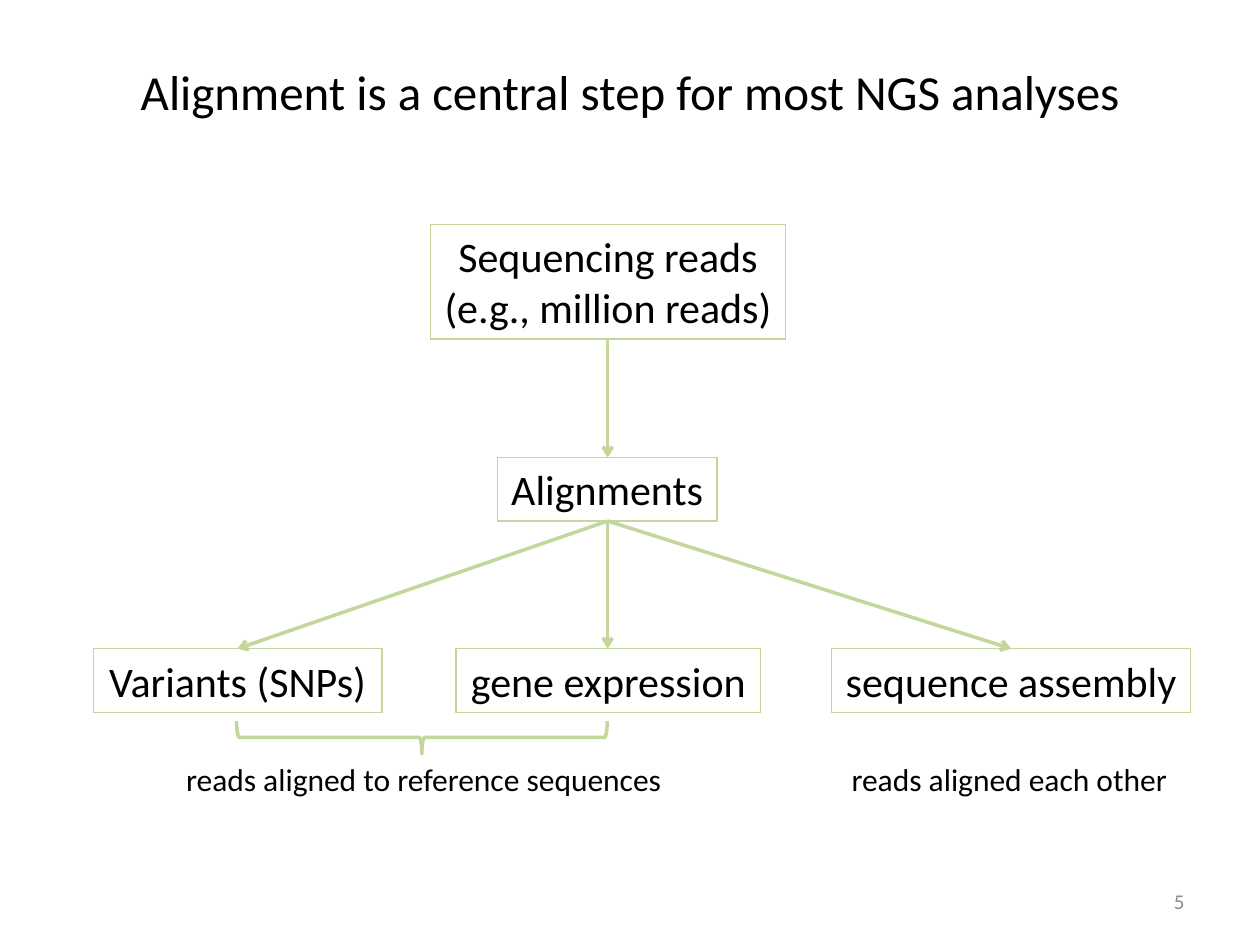
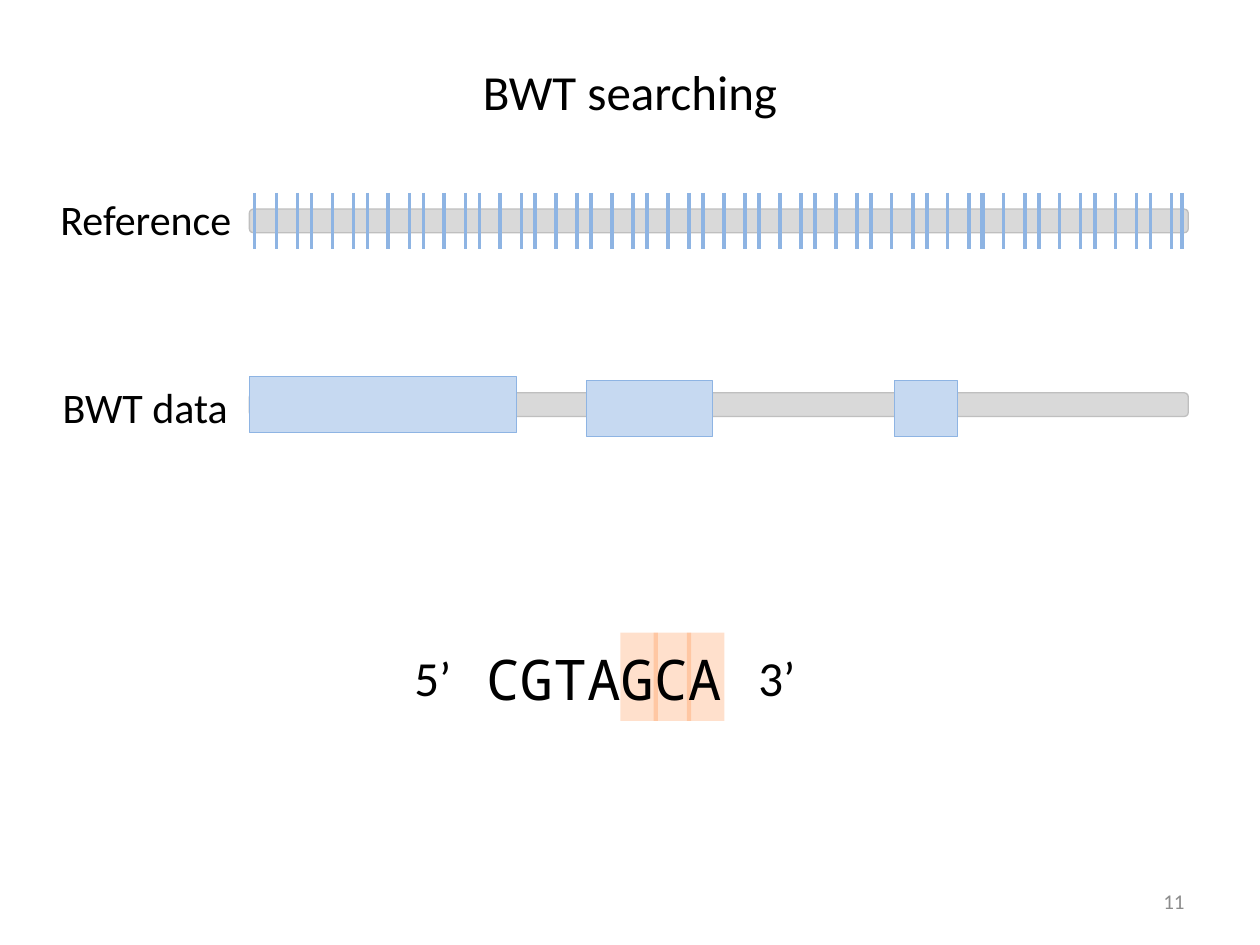
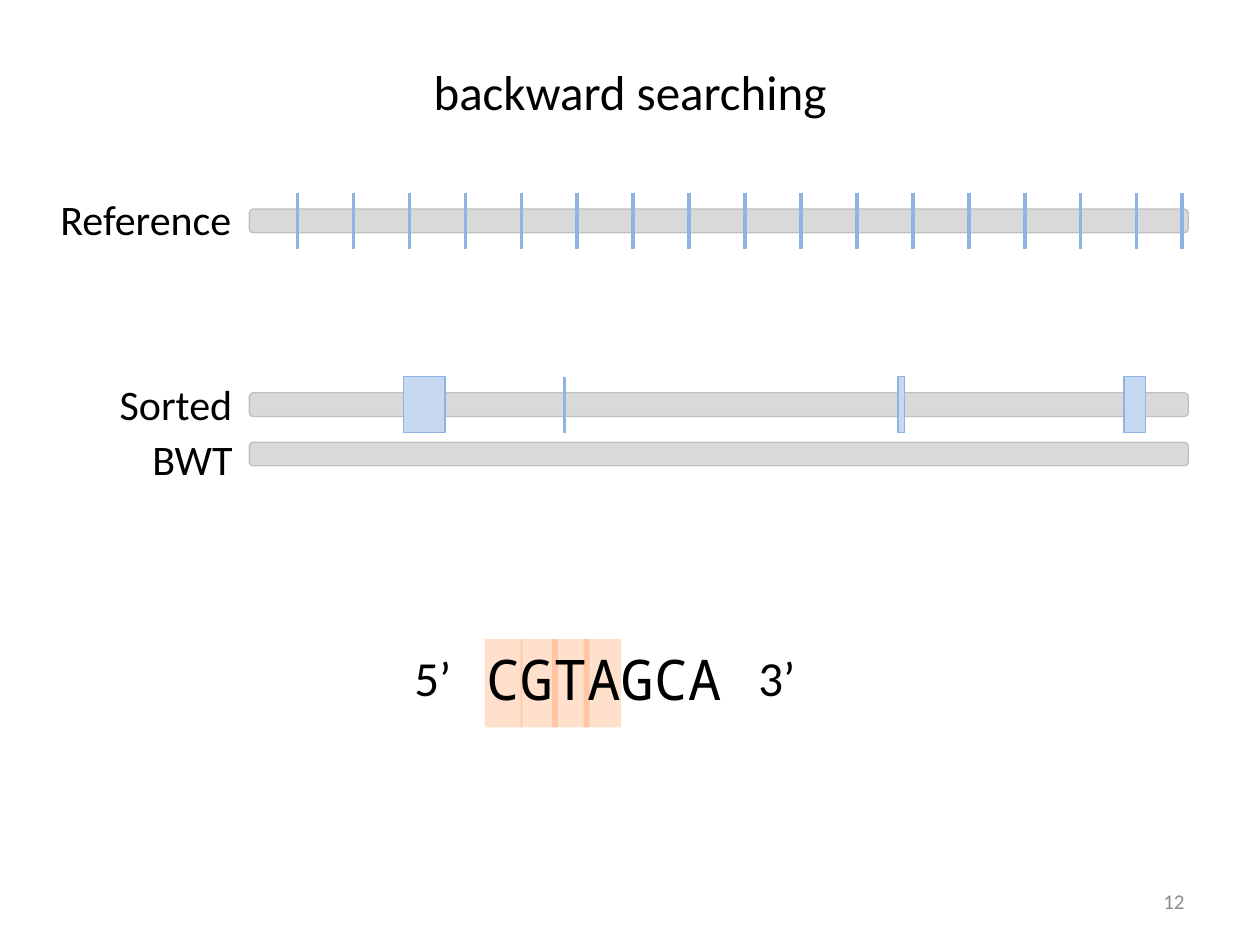
"""Build three slides on read alignment and backward searching with the BWT."""
from lxml import etree
from pptx import Presentation
from pptx.dml.color import RGBColor
from pptx.enum.shapes import MSO_CONNECTOR, MSO_SHAPE
from pptx.enum.text import MSO_ANCHOR, PP_ALIGN
from pptx.oxml.ns import qn
from pptx.util import Pt

STRAIGHT = MSO_CONNECTOR.STRAIGHT
RECTANGLE, ROUNDED, BRACE = MSO_SHAPE.RECTANGLE, MSO_SHAPE.ROUNDED_RECTANGLE, MSO_SHAPE.LEFT_BRACE
LEFT, CENTER, RIGHT = PP_ALIGN.LEFT, PP_ALIGN.CENTER, PP_ALIGN.RIGHT
TOP, MIDDLE = MSO_ANCHOR.TOP, MSO_ANCHOR.MIDDLE

BLACK = RGBColor(0x00, 0x00, 0x00)
NUMBER_GRAY = RGBColor(0x8C, 0x8C, 0x8C)
GREEN = RGBColor(0xC3, 0xD6, 0x9B)
BAR_FILL = RGBColor(0xD9, 0xD9, 0xD9)
BAR_LINE = RGBColor(0xBF, 0xBF, 0xBF)
BLOCK_FILL = RGBColor(0xC6, 0xD9, 0xF1)
BLUE = RGBColor(0x8E, 0xB4, 0xE3)
ORANGE = RGBColor(0xFF, 0x66, 0x00)
BODY_FONT = "Calibri"
CODE_FONT = "Noto Sans Mono"


def add_text(slide, lines, place, size, align=LEFT, anchor=TOP, wrap=False,
             color=BLACK, font=BODY_FONT, outline=None):
    """Add a text box with one paragraph per line and an optional outline."""
    box = slide.shapes.add_textbox(*map(Pt, place))
    if outline:
        box.line.color.rgb = outline
        box.line.width = Pt(0.75)
    frame = box.text_frame
    frame.word_wrap = wrap
    frame.vertical_anchor = anchor
    for index, line in enumerate(lines):
        paragraph = frame.add_paragraph() if index else frame.paragraphs[0]
        paragraph.alignment = align
        run = paragraph.add_run()
        run.text = line
        run.font.size = Pt(size)
        run.font.name = font
        run.font.color.rgb = color


def add_line(slide, start, end, color, arrow=False):
    """Add a straight two-point line, with an arrowhead at its end if asked."""
    connector = slide.shapes.add_connector(STRAIGHT, *map(Pt, start + end))
    connector.line.color.rgb = color
    connector.line.width = Pt(2)
    if arrow:
        etree.SubElement(connector.line._get_or_add_ln(), qn("a:tailEnd"), type="arrow")
    etree.SubElement(connector._element.spPr, qn("a:effectLst"))


presentation = Presentation()
presentation.slide_width = Pt(720)
presentation.slide_height = Pt(540)

slides = []
for title, number in [
    ("Alignment is a central step for most NGS analyses", "5"),
    ("BWT searching", "11"),
    ("backward searching", "12"),
]:
    slide = presentation.slides.add_slide(presentation.slide_layouts[6])
    add_text(slide, [title], (36, 21.6, 648, 61.2), 28, CENTER, MIDDLE, wrap=True)
    add_text(slide, [number], (516, 500.5, 168, 28.75), 12, RIGHT, MIDDLE, wrap=True, color=NUMBER_GRAY)
    slides.append(slide)
overview_slide, bwt_slide, backward_slide = slides

for lines, place in [
    (["Sequencing reads", "(e.g., million reads)"], (246, 128.25, 203, 65.5)),
    (["Alignments"], (284.25, 261.5, 125.5, 36.25)),
    (["Variants (SNPs)"], (53.25, 370.75, 165, 36.25)),
    (["gene expression"], (260.5, 370.75, 174.25, 36.25)),
    (["sequence assembly"], (475, 370.75, 205.5, 36.25)),
]:
    add_text(overview_slide, lines, place, 24, CENTER, outline=GREEN)

add_line(overview_slide, (347.25, 193.75), (347.25, 261.5), GREEN, arrow=True)
for target in (347.25, 135.5, 578):
    add_line(overview_slide, (347.25, 297.75), (target, 370.75), GREEN, arrow=True)

brace = overview_slide.shapes.add_shape(BRACE, Pt(231.75), Pt(315.5), Pt(18.75), Pt(211.75))
brace.rotation = 270
brace.shadow.inherit = False
brace.fill.background()
brace.line.color.rgb = GREEN
brace.line.width = Pt(2)

add_text(overview_slide, ["reads aligned to reference sequences"], (99.25, 430.5, 290, 29), 18)
add_text(overview_slide, ["reads aligned each other"], (479.5, 430.5, 197.25, 29), 18)

TICK_STEP = 31.97
last_tick = 675.5
t_ticks = [157.9 + TICK_STEP * index for index in range(17)]
a_ticks = [170 + TICK_STEP * index for index in range(16)]
g_ticks = [178 + TICK_STEP * index for index in range(16)]

searches = [
    {
        "slide": bwt_slide,
        "bar_tops": [119.5, 224.5],
        "blocks": [(142.5, 215.25, 152.75), (335.25, 217.5, 72), (511, 217.5, 36)],
        "ticks": [145.5, 561] + t_ticks + a_ticks + g_ticks + [last_tick],
        "highlight_top": 361.5,
        "highlights": [392.5, 373.5, 354.5],
        "labels": [("BWT data", (28.75, 214.5, 109.5, 36.25))],
    },
    {
        "slide": backward_slide,
        "bar_tops": [119.5, 224.5, 252.75],
        "blocks": [(230.5, 215.25, 23.75), (642.25, 215.25, 12.25), (513.25, 215.25, 3.75)],
        "ticks": a_ticks + [last_tick],
        "highlight_top": 365.25,
        "highlights": [333.5, 315.5, 297.5, 277],
        "labels": [("Sorted", (61.25, 212.5, 79, 36.25)), ("BWT", (80, 244, 60.5, 36.25))],
    },
]

for search in searches:
    slide = search["slide"]
    shapes = [(ROUNDED, (142.5, top, 536.5, 13.5), BAR_FILL, BAR_LINE) for top in search["bar_tops"]]
    shapes += [(RECTANGLE, (left, top, width, 32), BLOCK_FILL, BLUE) for left, top, width in search["blocks"]]
    shapes += [(RECTANGLE, (left, search["highlight_top"], 21.5, 50.5), ORANGE, None)
               for left in search["highlights"]]
    for preset, place, fill, outline in shapes:
        shape = slide.shapes.add_shape(preset, *map(Pt, place))
        shape.shadow.inherit = False
        shape.fill.solid()
        shape.fill.fore_color.rgb = fill
        if outline:
            shape.line.color.rgb = outline
            shape.line.width = Pt(0.75)
        else:
            shape.line.fill.background()
            color = shape._element.spPr.find(qn("a:solidFill"))[0]
            etree.SubElement(color, qn("a:alpha"), val="20000")

    for position in search["ticks"]:
        add_line(slide, (position, 110.25), (position, 142.25), BLUE)

    for label, place in [("Reference", (27.5, 107.25, 113.5, 36.25))] + search["labels"]:
        add_text(slide, [label], place, 24)
    add_text(slide, ["5’"], (229.75, 366.5, 42.5, 41), 28)
    add_text(slide, ["3’"], (426.25, 366.5, 42.5, 41), 28)
    add_text(slide, ["CGTAGCA"], (270.75, 365, 198, 46), 32, wrap=True, font=CODE_FONT)

add_line(backward_slide, (322.5, 215.25), (322.5, 247.25), BLUE)

presentation.save("out.pptx")
